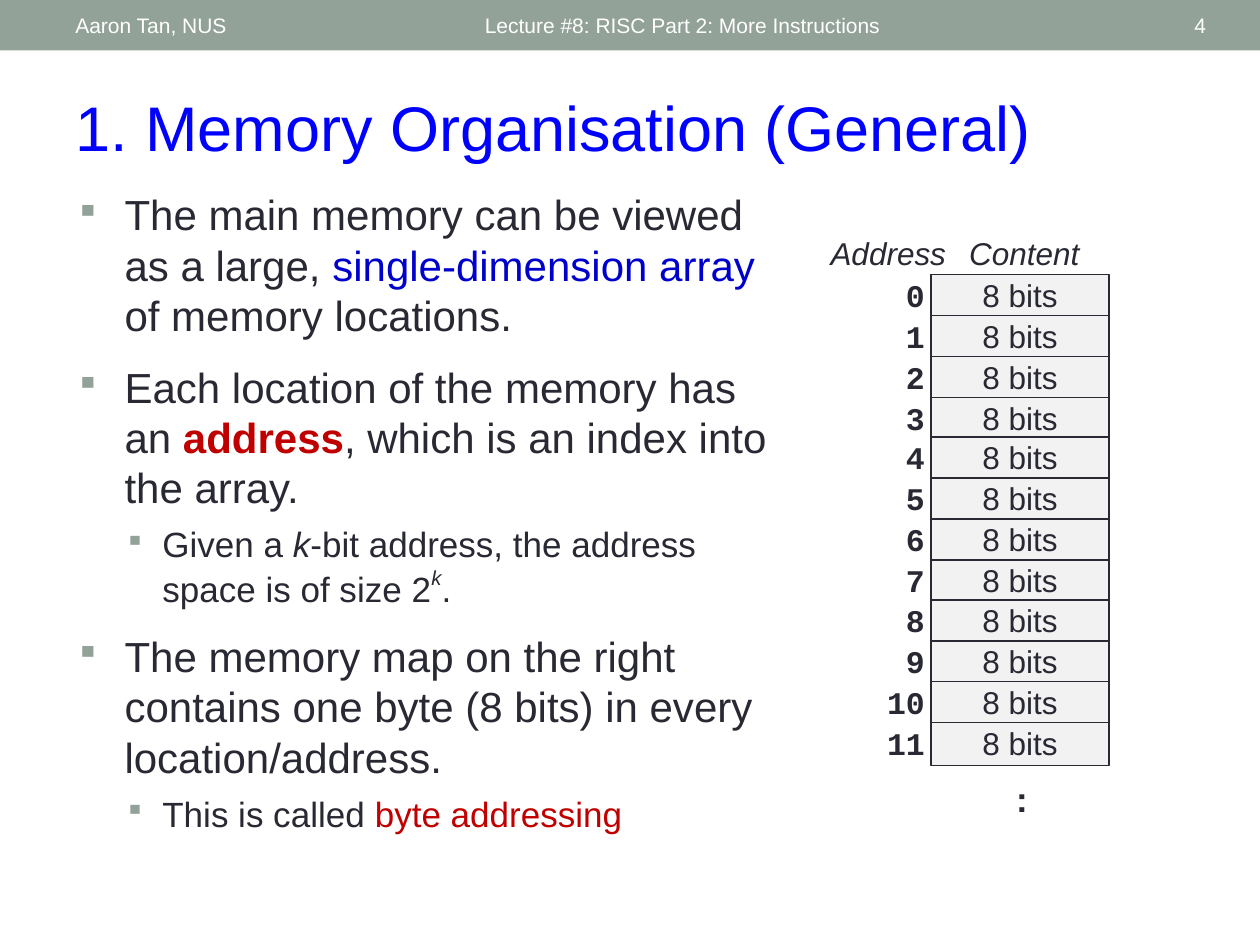
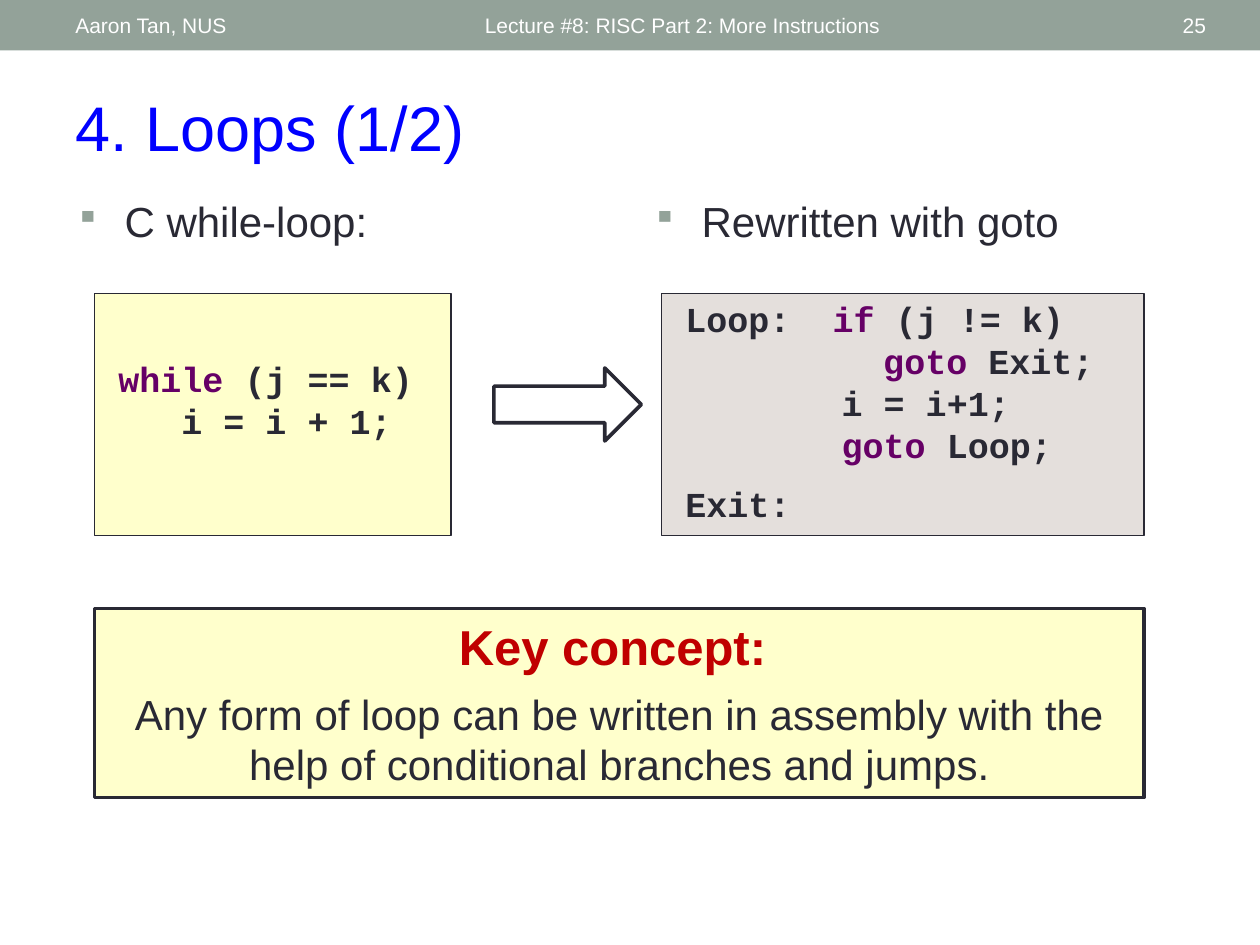
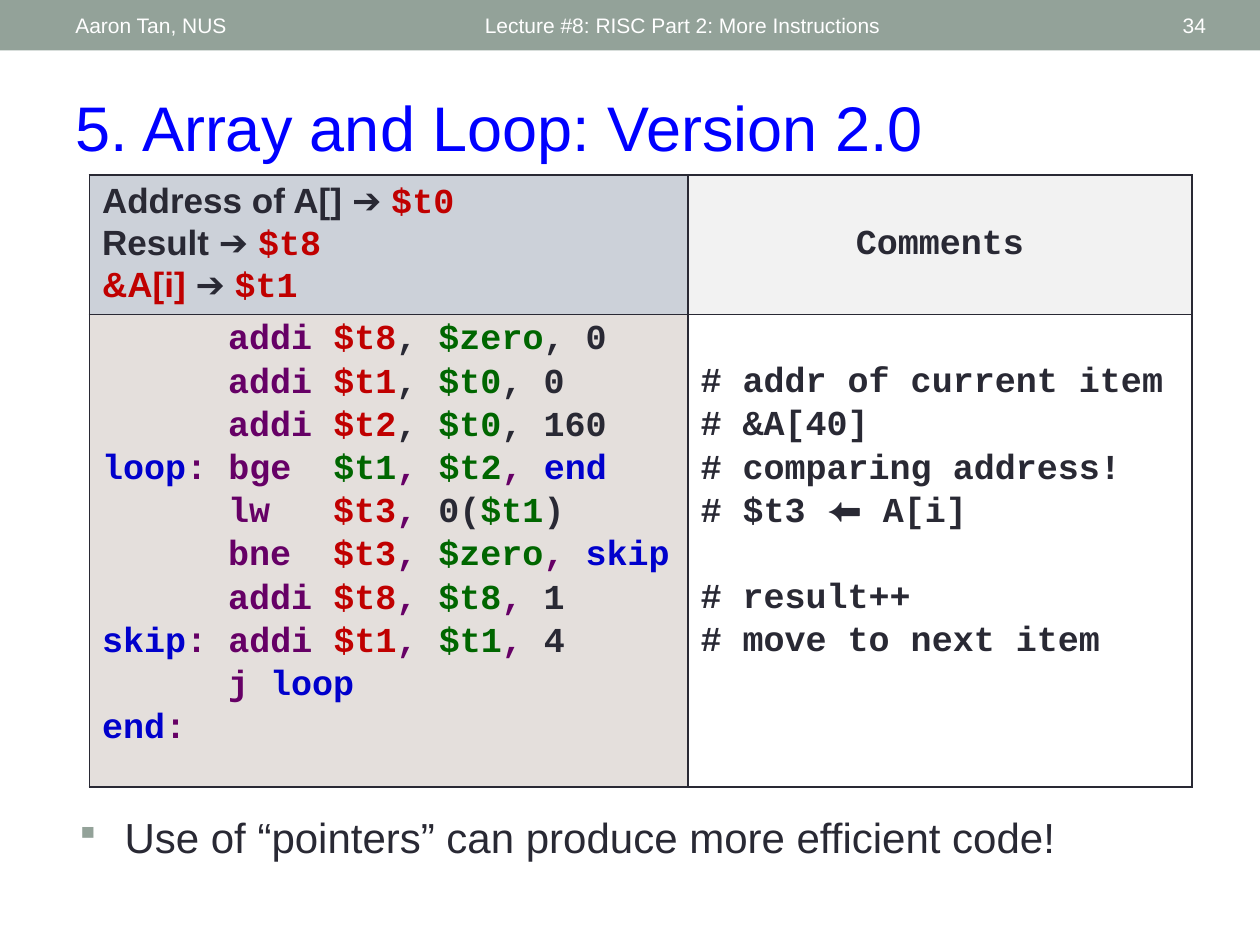
import dataclasses

import pptx
import pptx.dml.color
import pptx.enum.shapes
import pptx.enum.text
import pptx.oxml.ns
import pptx.util
from lxml import etree
from pptx.util import Inches

ALIGN = pptx.enum.text.PP_ALIGN
ANCHOR = pptx.enum.text.MSO_ANCHOR
SHAPE = pptx.enum.shapes.MSO_SHAPE
SANS, MONO = "Arial", "Courier New"
COLORS = {
    "band": "93A299", "white": "FFFFFF", "title": "0000FF", "text": "292934",
    "blue": "0000CC", "red": "C00000", "purple": "660066", "green": "006600",
    "cell": "F2F2F2", "yellow": "FFFFCC", "code": "E4DFDC", "head": "CCD1D9",
}
BOX_MARGINS = (0.1, 0.05, 0.1, 0.05)
TIGHT = (0.01, 0.01, 0.01, 0.01)
RUN_DEFAULTS = ("", None, "", None)
CODE_CHAR = 12


@dataclasses.dataclass
class Para:
    """A paragraph: runs are strings or (text, color, flags, font) tuples."""
    runs: list
    size: float = 24
    font: str = SANS
    bold: bool = False
    color: str = "text"
    align: object = ALIGN.LEFT
    left: float = 0
    hang: float = 0
    before: float = 0
    before_pct: int = 0
    bullet: bool = False


def rgb(name):
    """Return the named color."""
    return pptx.dml.color.RGBColor.from_string(COLORS[name])


def add_child(parent, tag, **attrs):
    """Append a DrawingML element to a parent."""
    child = etree.SubElement(parent, pptx.oxml.ns.qn("a:" + tag))
    for key, value in attrs.items():
        child.set(key, str(value))
    return child


def format_paragraph(p, para):
    """Apply alignment, spacing, indents and bullet."""
    p.alignment = para.align
    pPr = p._p.get_or_add_pPr()
    pPr.set("marL", str(Inches(para.left)))
    pPr.set("indent", str(Inches(-para.hang)))
    if para.before_pct:
        add_child(add_child(pPr, "spcBef"), "spcPct", val=para.before_pct * 1000)
    else:
        p.space_before = pptx.util.Pt(para.before)
    if para.bullet:
        add_child(add_child(pPr, "buClr"), "srgbClr", val=COLORS["band"])
        add_child(pPr, "buSzPct", val=80000)
        add_child(pPr, "buChar", char="▪")
    else:
        add_child(pPr, "buNone")


def add_run(p, run, para):
    """Add a run; flags: b bold, i italic, ^ raised, > one code character wider."""
    parts = (run,) if isinstance(run, str) else run
    text, color, flags, font = parts + RUN_DEFAULTS[len(parts):]
    r = p.add_run()
    r.text = text
    r.font.size = pptx.util.Pt(para.size)
    r.font.name = font or para.font
    r.font.bold = para.bold or "b" in flags
    r.font.italic = "i" in flags
    r.font.color.rgb = rgb(color or para.color)
    rPr = r._r.get_or_add_rPr()
    if "^" in flags:
        rPr.set("baseline", "50000")
    if ">" in flags:
        rPr.set("spc", str(flags.count(">") * CODE_CHAR * 100))


def write(tf, paras):
    """Fill a text frame with paragraphs."""
    for i, para in enumerate(paras):
        p = tf.paragraphs[0] if i == 0 else tf.add_paragraph()
        format_paragraph(p, para)
        for run in para.runs:
            add_run(p, run, para)


def set_frame(tf, margins=BOX_MARGINS, anchor=ANCHOR.TOP):
    """Set margins, wrapping and anchor of a text frame."""
    tf.margin_left, tf.margin_top, tf.margin_right, tf.margin_bottom = map(Inches, margins)
    tf.word_wrap = True
    tf.auto_size = pptx.enum.text.MSO_AUTO_SIZE.NONE
    tf.vertical_anchor = anchor


def add_text(slide, box, paras, **frame):
    """Add a text box."""
    sp = slide.shapes.add_textbox(*map(Inches, box))
    set_frame(sp.text_frame, **frame)
    write(sp.text_frame, paras)


def add_box(slide, box, fill, paras=(), line=None, kind=SHAPE.RECTANGLE, **frame):
    """Add a filled shape, with text and an outline of the given width."""
    sp = slide.shapes.add_shape(kind, *map(Inches, box))
    sp.shadow.inherit = False
    sp.fill.solid()
    sp.fill.fore_color.rgb = rgb(fill)
    if line:
        sp.line.color.rgb = rgb("text")
        sp.line.width = pptx.util.Pt(line)
    else:
        sp.line.fill.background()
    set_frame(sp.text_frame, **frame)
    write(sp.text_frame, paras)


def bullet(*runs, level=0, before=0):
    """Return a bulleted paragraph of level 0 or 1."""
    size, left, hang = ((24, 0.39, 0.39), (20, 0.69, 0.3))[level]
    return Para(runs, size, left=left, hang=hang, before=before, bullet=True)


def code(*runs, **style):
    """Return a paragraph of program code."""
    return Para(runs, 20, MONO, True, **style)


def new_slide(prs, title, number):
    """Add a slide with band, header texts and title."""
    slide = prs.slides.add_slide(prs.slide_layouts[5])
    add_box(slide, (0, 0, 10, 0.4), "band")
    for left, width, text, align in (
            (0.5, 3.17, "Aaron Tan, NUS", ALIGN.LEFT),
            (3.75, 4.5, "Lecture #8: RISC Part 2: More Instructions", ALIGN.LEFT),
            (8.72, 0.95, str(number), ALIGN.RIGHT)):
        add_text(slide, (left, 0.02, width, 0.36),
                 [Para([text], 12, color="white", align=align)], anchor=ANCHOR.MIDDLE)
    sp = slide.shapes.title
    sp.left, sp.top, sp.width, sp.height = map(Inches, (0.5, 0.65, 9.17, 0.71))
    set_frame(sp.text_frame)
    write(sp.text_frame, [Para([title], 36, color="title")])
    return slide


def add_memory_map(slide):
    """Draw the addresses and the byte cells, four bytes to a word."""
    for left, label in ((6.5, "Address"), (7.58, "Content")):
        add_text(slide, (left, 1.85, 1.1, 0.32),
                 [Para([(label, "text", "i")], 18, align=ALIGN.CENTER)], margins=TIGHT)
    for address in range(12):
        word, byte = divmod(address, 4)
        top = 2.18 + 1.29 * word + 0.325 * byte
        add_box(slide, (7.39, top, 1.41, 0.34), "cell",
                [Para(["8 bits"], 18, align=ALIGN.CENTER)], line=1, margins=TIGHT)
        add_text(slide, (6.93, top, 0.42, 0.32),
                 [Para([str(address)], 18, MONO, True, align=ALIGN.RIGHT)], margins=TIGHT)
    add_text(slide, (7.9, 6.16, 0.42, 0.35),
             [Para([":"], 20, bold=True, align=ALIGN.CENTER)], margins=TIGHT)


def format_cell(cell, fill, paras, anchor=ANCHOR.TOP, top=0.05):
    """Set borders, fill and text of a table cell."""
    tcPr = cell._tc.get_or_add_tcPr()
    for side in ("lnL", "lnR", "lnT", "lnB"):
        ln = add_child(tcPr, side, w=pptx.util.Pt(1))
        add_child(add_child(ln, "solidFill"), "srgbClr", val=COLORS["text"])
    cell.fill.solid()
    cell.fill.fore_color.rgb = rgb(fill)
    cell.vertical_anchor = anchor
    cell.margin_left = cell.margin_right = Inches(0.1)
    cell.margin_top, cell.margin_bottom = Inches(top), Inches(0.05)
    write(cell.text_frame, paras)


def instruction(label, op, *operands, comma="purple"):
    """Return a code line: label, operation and colored operands."""
    runs = [(label, "blue"), (": ", "purple")] if label else []
    runs += [(op, "purple"), (" ", "purple", ">" * (4 - len(op)))]
    for i, operand in enumerate(operands):
        if i:
            runs.append((", ", comma))
        runs += operand if isinstance(operand, list) else [operand]
    return code(*runs, before_pct=10, left=0 if label else 1)


def add_listing(slide):
    """Add the table of code and comments."""
    t0, t1, t2, t8, zero = (("$" + name, "green") for name in ("t0", "t1", "t2", "t8", "zero"))
    to_t1, to_t2, to_t3, to_t8 = (("$" + name, "red") for name in ("t1", "t2", "t3", "t8"))
    lines = [
        instruction("", "addi", to_t8, zero, ("0", "text"), comma="text"),
        instruction("", "addi", to_t1, t0, ("0", "text"), comma="text"),
        instruction("", "addi", to_t2, t0, ("160", "text"), comma="text"),
        instruction("loop", "bge", t1, t2, ("end", "blue")),
        instruction("", "lw", to_t3, [("0(", "text"), t1, (")", "text")]),
        instruction("", "bne", to_t3, zero, ("skip", "blue")),
        instruction("", "addi", to_t8, t8, ("1", "text")),
        instruction("skip", "addi", to_t1, t1, ("4", "text")),
        code(("j ", "purple"), ("loop", "blue"), before_pct=10, left=1),
        code(("end", "blue"), (":", "purple"), before_pct=10),
    ]
    comments = [code(text, before_pct=10) for text in (
        "# addr of current item", "# &A[40]", "# comparing address!", "# $t3 ⬅ A[i]")]
    comments += [code("# result++", before=26.5), code("# move to next item", before_pct=10)]
    registers = [
        Para([(name, color), "➔ ", (register, "red", "", MONO)], 20, bold=True)
        for name, color, register in (
            ("Address of A[] ", "text", "$t0"), ("Result ", "text", "$t8"),
            ("&A[i] ", "red", "$t1"))]

    table = slide.shapes.add_table(2, 2, *map(Inches, (0.71, 1.39, 8.75, 4.8))).table
    for column, width in zip(table.columns, (4.75, 4)):
        column.width = Inches(width)
    for row, height in zip(table.rows, (1.05, 3.75)):
        row.height = Inches(height)
    format_cell(table.cell(0, 0), "head", registers)
    format_cell(table.cell(0, 1), "cell", [code("Comments", align=ALIGN.CENTER)],
                anchor=ANCHOR.MIDDLE)
    format_cell(table.cell(1, 0), "code", lines)
    format_cell(table.cell(1, 1), "white", comments, top=0.39)


def build_memory_slide(prs):
    """Build the slide on memory organisation."""
    slide = new_slide(prs, "1. Memory Organisation (General)", 4)
    add_text(slide, (0.5, 1.45, 5.75, 5.3), [
        bullet("The main memory can be viewed as a large, ",
               ("single-dimension array ", "blue"), "of memory locations."),
        bullet("Each location of the memory has an ", ("address", "red", "b"),
               ", which is an index into the array.", before=12),
        bullet("Given a ", ("k", "text", "i"),
               "-bit address, the address space is of size 2",
               ("k", "text", "i^"), ".", level=1, before=6),
        bullet("The memory map on the right contains one byte (8 bits) in every "
               "location/address.", before=12),
        bullet("This is called ", ("byte addressing", "red"), level=1, before=6),
    ])
    add_memory_map(slide)


def build_loops_slide(prs):
    """Build the slide that rewrites a loop with goto."""
    slide = new_slide(prs, "4. Loops (1/2)", 25)
    for left, text in ((0.5, "C while-loop:"), (5.08, "Rewritten with goto")):
        add_text(slide, (left, 1.5, 4.42, 0.6), [bullet(text)])
    add_box(slide, (0.75, 2.33, 2.83, 1.92), "yellow", [
        code(("while", "purple"), " (j == k)"),
        code("i = i + 1;", left=0.5),
    ], line=0.75, margins=(0.19, 0.51, 0.02, 0.03))
    add_box(slide, (5.25, 2.33, 3.83, 1.92), "code", [
        code("Loop:", (" ", "text", ">"), ("if", "purple"), " (j != k)"),
        code(("goto ", "purple"), "Exit;", left=1.57),
        code("i = i+1;", left=1.24),
        code(("goto", "purple"), " Loop;", left=1.24),
        code("Exit:", before_pct=50),
    ], line=0.75, margins=(0.19, 0.03, 0.02, 0.03))
    add_box(slide, (3.92, 2.92, 1.17, 0.58), "white", line=2.08, kind=SHAPE.RIGHT_ARROW)
    add_box(slide, (0.75, 4.83, 8.33, 1.5), "yellow", [
        Para(["Key concept: "], 28, bold=True, color="red", align=ALIGN.CENTER, before_pct=30),
        Para(["Any form of loop can be written in assembly with the help of "
              "conditional branches and jumps."], align=ALIGN.CENTER, before_pct=30),
    ], line=2.08, anchor=ANCHOR.MIDDLE)


def build_array_slide(prs):
    """Build the slide with the pointer version of the array loop."""
    slide = new_slide(prs, "5. Array and Loop: Version 2.0", 34)
    add_listing(slide)
    add_text(slide, (0.5, 6.39, 9, 0.7),
             [bullet("Use of “pointers” can produce more efficient code!")])


def main():
    """Build and save the presentation."""
    prs = pptx.Presentation()
    prs.slide_width, prs.slide_height = Inches(10), Inches(7.5)
    build_memory_slide(prs)
    build_loops_slide(prs)
    build_array_slide(prs)
    prs.save("out.pptx")


if __name__ == "__main__":
    main()
